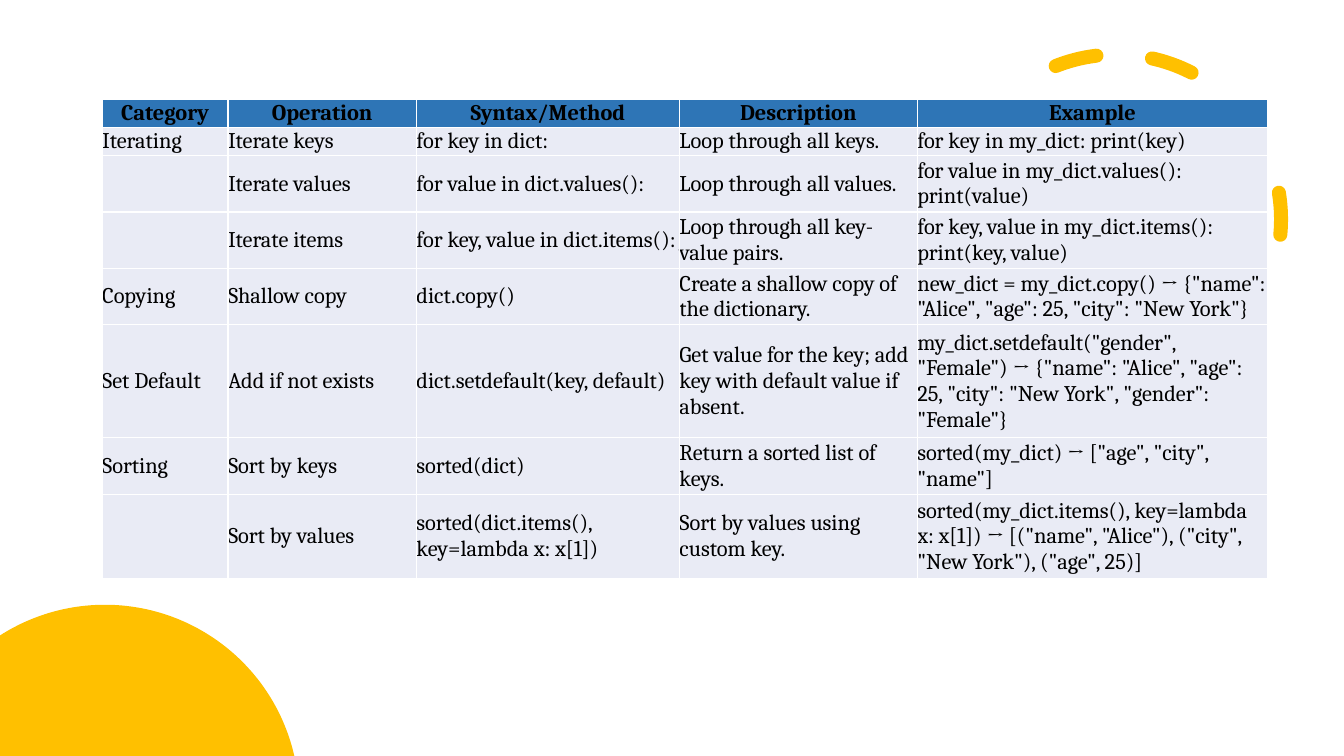
import math

import pptx
import pptx.dml.color
import pptx.enum.dml
import pptx.enum.shapes
import pptx.enum.text
import pptx.oxml
import pptx.oxml.ns
import pptx.util

Pt = pptx.util.Pt
qn = pptx.oxml.ns.qn

COLORS = {
    "sun": "FFC000",
    "header": "2E75B6",
    "body": "E9EBF5",
    "border": "FFFFFF",
    "text": "000000",
}
FONT = "Cambria"
SLIDE_WIDTH, SLIDE_HEIGHT = 960, 540
COLUMN_WIDTHS = [89.9, 134.6, 187.9, 169.9, 250.4]
LINE_HEIGHT = 20.16
ROW_LINES = [1, 1, 2, 2, 2, 4, 2, 3]
ROWS = [
    ["Category", "Operation", "Syntax/Method", "Description", "Example"],
    ["Iterating", "Iterate keys", "for key in dict:", "Loop through all keys.",
     "for key in my_dict: print(key)"],
    ["", "Iterate values", "for value in dict.values():", "Loop through all values.",
     "for value in my_dict.values(): print(value)"],
    ["", "Iterate items", "for key, value in dict.items():",
     "Loop through all key-value pairs.",
     "for key, value in my_dict.items(): print(key, value)"],
    ["Copying", "Shallow copy", "dict.copy()", "Create a shallow copy of the dictionary.",
     'new_dict = my_dict.copy() → {"name": "Alice", "age": 25, "city": "New York"}'],
    ["Set Default", "Add if not exists", "dict.setdefault(key, default)",
     "Get value for the key; add key with default value if absent.",
     'my_dict.setdefault("gender", "Female") → {"name": "Alice", "age": 25, '
     '"city": "New York", "gender": "Female"}'],
    ["Sorting", "Sort by keys", "sorted(dict)", "Return a sorted list of keys.",
     'sorted(my_dict) → ["age", "city", "name"]'],
    ["", "Sort by values", "sorted(dict.items(), key=lambda x: x[1])",
     "Sort by values using custom key.",
     'sorted(my_dict.items(), key=lambda x: x[1]) → [("name", "Alice"), '
     '("city", "New York"), ("age", 25)]'],
]


def color(name):
    return pptx.dml.color.RGBColor.from_string(COLORS[name])


def write_text(frame, text, size=16, bold=False, align="LEFT"):
    para = frame.paragraphs[0]
    para.alignment = getattr(pptx.enum.text.PP_ALIGN, align)
    para.font.size = Pt(size)
    if text:
        span = para.add_run()
        span.text = text
        span.font.name = FONT
        span.font.size = Pt(size)
        span.font.bold = bold
        span.font.color.rgb = color("text")


def add_borders(cell, width=1):
    properties = cell._tc.get_or_add_tcPr()
    for side in ("lnL", "lnR", "lnT", "lnB"):
        properties.append(pptx.oxml.parse_xml(
            f'<a:{side} xmlns:a="http://schemas.openxmlformats.org/drawingml/2006/main" '
            f'w="{Pt(width)}"><a:solidFill><a:srgbClr val="{COLORS["border"]}"/>'
            f'</a:solidFill></a:{side}>'))


def format_cell(cell, text, header):
    cell.margin_left = cell.margin_right = cell.margin_top = cell.margin_bottom = 0
    cell.vertical_anchor = pptx.enum.text.MSO_ANCHOR.MIDDLE
    add_borders(cell)
    cell.fill.solid()
    cell.fill.fore_color.rgb = color("header" if header else "body")
    write_text(cell.text_frame, text, bold=header, align="CENTER" if header else "LEFT")


def add_operations_table(page, left, top):
    frame = page.shapes.add_table(
        len(ROWS), len(COLUMN_WIDTHS), Pt(left), Pt(top),
        Pt(sum(COLUMN_WIDTHS)), Pt(LINE_HEIGHT * sum(ROW_LINES)))
    table = frame.table
    table.horz_banding = False
    for column, width in zip(table.columns, COLUMN_WIDTHS):
        column.width = Pt(width)
    for row, lines, texts in zip(table.rows, ROW_LINES, ROWS):
        row.height = Pt(LINE_HEIGHT * lines)
        for cell, text in zip(row.cells, texts):
            format_cell(cell, text, header=texts is ROWS[0])


def add_dashed_arc(page, left, top, size):
    arc = page.shapes.add_shape(
        pptx.enum.shapes.MSO_SHAPE.ARC, Pt(left), Pt(top), Pt(size), Pt(size))
    arc.shadow.inherit = False
    arc.adjustments[0] = 144.418
    arc.adjustments[1] = 0
    arc.rotation = 66.1
    arc.fill.background()
    arc.line.color.rgb = color("sun")
    arc.line.width = Pt(10)
    arc.line.dash_style = pptx.enum.dml.MSO_LINE.DASH
    properties = arc._element.spPr
    properties.find(qn("a:xfrm")).set("flipH", "1")
    properties.find(qn("a:ln")).set("cap", "rnd")


def add_corner_sun(page, center_x, center_y, radius, steps=90):
    """Draw the part of a circle that lies inside the lower left slide corner."""
    start = -math.asin(center_x / radius)
    end = math.acos((center_y - SLIDE_HEIGHT) / radius)
    angles = [start + (end - start) * step / steps for step in range(steps + 1)]
    rim = [(Pt(center_x + radius * math.sin(angle)), Pt(center_y - radius * math.cos(angle)))
           for angle in angles]
    outline = page.shapes.build_freeform(0, Pt(SLIDE_HEIGHT))
    outline.add_line_segments(rim, close=True)
    sun = outline.convert_to_shape()
    sun.shadow.inherit = False
    sun.fill.solid()
    sun.fill.fore_color.rgb = color("sun")
    sun.line.fill.background()


def main():
    deck = pptx.Presentation()
    deck.slide_width, deck.slide_height = Pt(SLIDE_WIDTH), Pt(SLIDE_HEIGHT)
    page = deck.slides.add_slide(deck.slide_layouts[6])
    add_dashed_arc(page, 679.7, 38.9, 235.4)
    add_corner_sun(page, 74.9, 570.8, 138.8)
    add_operations_table(page, 73, 70.8)
    deck.save("out.pptx")


if __name__ == "__main__":
    main()
